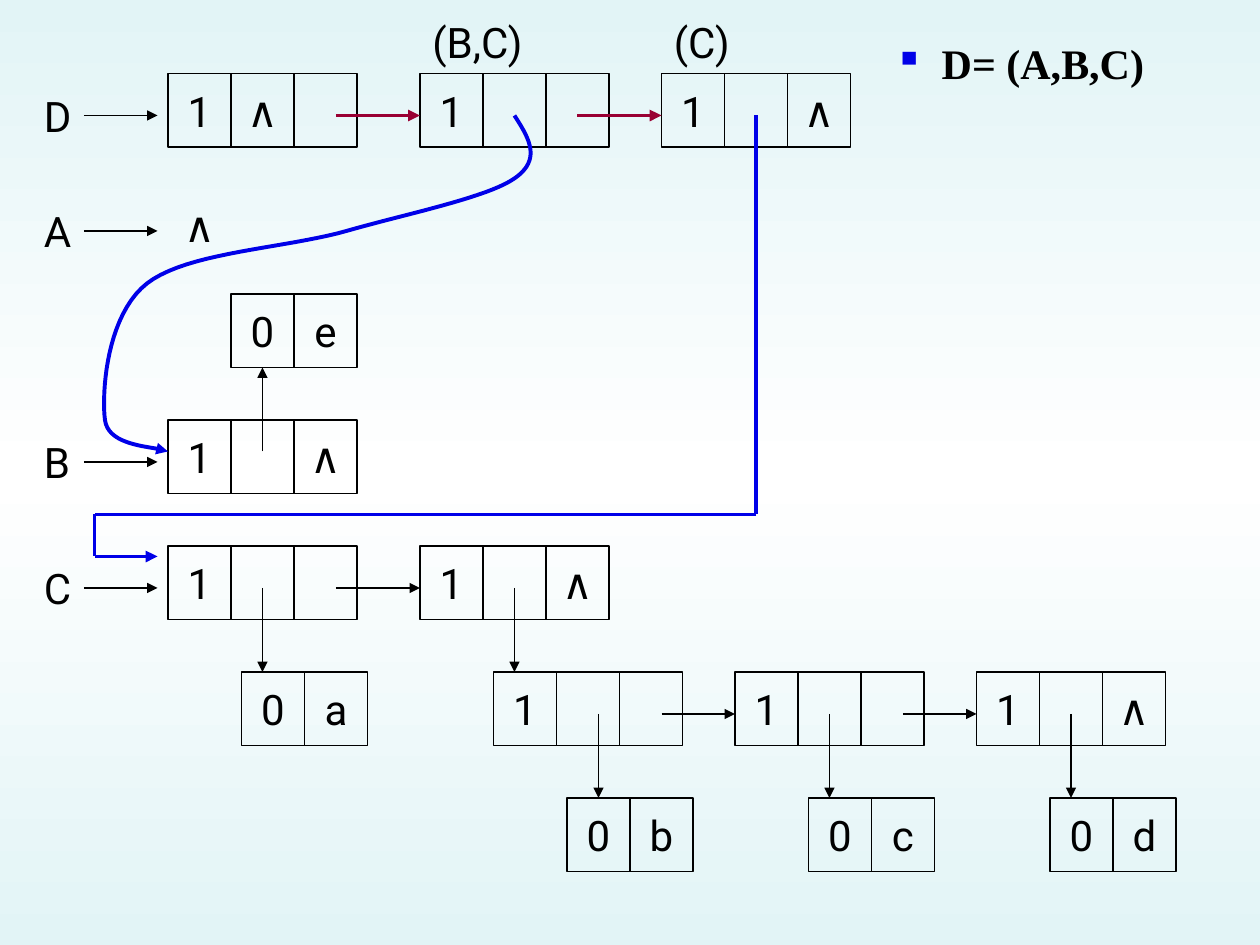
from copy import deepcopy
from itertools import pairwise

from lxml.etree import SubElement
from pptx import Presentation
from pptx.dml.color import RGBColor
from pptx.enum.shapes import MSO_CONNECTOR, MSO_SHAPE
from pptx.enum.text import MSO_ANCHOR, PP_ALIGN
from pptx.oxml.ns import qn
from pptx.util import Pt

BLACK, BLUE, CRIMSON = "000000", "0000E8", "990033"
CELL_WIDTH, CELL_HEIGHT = 36, 42
LINK_Y = 24
LABEL_LEFT, LIST_LEFT = 18, 96


def color(value):
    return RGBColor.from_string(value)


def set_background(slide):
    fill = slide.background.fill
    fill.gradient()
    fill.gradient_angle = 90
    stops = slide.element.find(".//" + qn("a:gsLst"))
    stops.append(deepcopy(stops[-1]))
    values = [(0, "E2F4F6"), (0.5, "FFFFFF"), (1, "E2F4F6")]
    for stop, (position, value) in zip(fill.gradient_stops, values):
        stop.position = position
        stop.color.rgb = color(value)


def style_text(shape, text, font_name="Roboto", bold=False):
    shape.text_frame.text = text
    font = shape.text_frame.paragraphs[0].runs[0].font
    font.name, font.size, font.bold = font_name, Pt(24), bold
    font.color.rgb = color(BLACK)


def style_line(shape, line_color, width, arrow):
    shape.line.color.rgb = color(line_color)
    shape.line.width = Pt(width)
    if arrow:
        SubElement(shape.line._get_or_add_ln(), qn("a:tailEnd"), type="triangle")


def add_text(slide, left, top, width, height, text):
    box = slide.shapes.add_textbox(Pt(left), Pt(top), Pt(width), Pt(height))
    box.text_frame.word_wrap = True
    style_text(box, text)
    return box


def center_text(shape):
    shape.text_frame.word_wrap = False
    shape.text_frame.vertical_anchor = MSO_ANCHOR.MIDDLE
    shape.text_frame.paragraphs[0].alignment = PP_ALIGN.CENTER


def add_line(slide, start, end, line_color=BLACK, width=0.75, arrow=True):
    points = [Pt(value) for value in (*start, *end)]
    line = slide.shapes.add_connector(MSO_CONNECTOR.STRAIGHT, *points)
    style_line(line, line_color, width, arrow)
    SubElement(line._element.spPr, qn("a:effectLst"))


def add_node(slide, left, top, values):
    node = slide.shapes.add_group_shape()
    for index, value in enumerate(values):
        cell = node.shapes.add_shape(
            MSO_SHAPE.RECTANGLE, Pt(left + index * CELL_WIDTH), Pt(top),
            Pt(CELL_WIDTH), Pt(CELL_HEIGHT))
        cell.shadow.inherit = False
        cell.fill.background()
        style_line(cell, BLACK, 0.75, False)
        if value:
            style_text(cell, value)
            center_text(cell)


def add_next_link(slide, left, top, next_left, **style):
    add_line(slide, (left + 96, top + LINK_Y), (next_left, top + LINK_Y), **style)


def add_atom(slide, left, top, value, link_x):
    add_line(slide, (link_x, top - 48), (link_x, top))
    add_node(slide, left, top, ["0", value])


def add_list_name(slide, top, name):
    add_text(slide, LABEL_LEFT, top, 30, 36, name)
    add_line(slide, (48, top + 18), (90, top + 18))


def add_definition(slide, left, top, width, height):
    box = add_text(slide, left, top, width, height, "D= (A,B,C)")
    properties = box.text_frame.paragraphs[0]._p.get_or_add_pPr()
    properties.set("marL", str(Pt(27)))
    properties.set("indent", str(Pt(-27)))
    bullet_color = SubElement(properties, qn("a:buClr"))
    SubElement(bullet_color, qn("a:srgbClr"), val=BLUE)
    SubElement(properties, qn("a:buSzPct"), val="95000")
    SubElement(properties, qn("a:buChar"), char="▪")
    run_font = box.text_frame.paragraphs[0].runs[0].font
    run_font.name, run_font.bold = "Times New Roman", True


def add_list_d(slide, left, top):
    add_list_name(slide, top + 6, "D")
    second, third = left + 144, left + 282
    add_node(slide, left, top, ["1", "∧", ""])
    add_node(slide, second, top, ["1", "", ""])
    add_node(slide, third, top, ["1", "", "∧"])
    add_next_link(slide, left, top, second, line_color=CRIMSON, width=2.25)
    add_next_link(slide, second - 6, top, third, line_color=CRIMSON, width=2.25)
    for label_left, text in ((second, "(B,C)"), (third, "(C)")):
        add_text(slide, label_left, top - 36, 78, 36, text)


def add_list_a(slide, left, top):
    add_list_name(slide, top + 6, "A")
    center_text(add_text(slide, left, top, CELL_WIDTH, CELL_HEIGHT, "∧"))


def add_list_b(slide, left, top):
    add_list_name(slide, top + 6, "B")
    add_node(slide, left, top, ["1", "", "∧"])
    add_line(slide, (left + 54, top + 18), (left + 54, top - 30))
    add_node(slide, left + CELL_WIDTH, top - 72, ["0", "e"])


def add_list_c(slide, left, top):
    add_list_name(slide, top + 6, "C")
    second = left + 144
    add_node(slide, left, top, ["1", "", ""])
    add_node(slide, second, top, ["1", "", "∧"])
    add_next_link(slide, left, top, second)
    add_atom(slide, left + 42, top + 72, "a", left + 54)
    add_line(slide, (second + 54, top + LINK_Y), (second + 54, top + 72))
    add_sublist(slide, second + 42, top + 72)


def add_sublist(slide, left, top):
    lefts = [left, left + 138, left + 276]
    tails = ["", "", "∧"]
    link_offsets = [60, 54, 54]
    for node_left, tail, offset, value in zip(lefts, tails, link_offsets, "bcd"):
        add_node(slide, node_left, top, ["1", "", tail])
        add_atom(slide, node_left + offset - 18 + (6 if offset == 54 else 0),
                 top + 72, value, node_left + offset)
    for node_left, next_left in pairwise(lefts):
        add_next_link(slide, node_left, top, next_left)


def bezier_point(points, t):
    weights = ((1 - t) ** 3, 3 * t * (1 - t) ** 2, 3 * t * t * (1 - t), t ** 3)
    return tuple(Pt(sum(w * point[axis] for w, point in zip(weights, points)))
                 for axis in (0, 1))


def add_curve_to_b(slide, left, top):
    knots = [(294, 66), (302, 78.5), (310, 91), (294, 102),
             (278, 113), (233, 122), (198, 132),
             (163, 142), (107, 144), (84, 162),
             (61, 180), (58, 224), (60, 240),
             (62, 256), (90, 255), (96, 258)]
    knots = [(x - 294 + left, y - 66 + top) for x, y in knots]
    steps = 20
    points = [bezier_point(knots[first:first + 4], step / steps)
              for first in range(0, len(knots) - 1, 3)
              for step in range(1, steps + 1)]
    builder = slide.shapes.build_freeform(Pt(left), Pt(top))
    builder.add_line_segments(points, close=False)
    curve = builder.convert_to_shape()
    curve.shadow.inherit = False
    curve.fill.background()
    style_line(curve, BLUE, 2.25, True)


def add_route_to_c(slide, left, top):
    corners = [(left, top), (left, top + 228), (left - 378, top + 228),
               (left - 378, top + 252), (left - 342, top + 252)]
    for start, end in pairwise(corners):
        add_line(slide, start, end, BLUE, 2.25, end == corners[-1])


def main():
    presentation = Presentation()
    presentation.slide_width, presentation.slide_height = Pt(720), Pt(540)
    slide = presentation.slides.add_slide(presentation.slide_layouts[6])
    set_background(slide)
    add_definition(slide, 504, 18, 204, 54)
    add_list_c(slide, LIST_LEFT, 312)
    add_list_b(slide, LIST_LEFT, 240)
    add_list_a(slide, LIST_LEFT, 108)
    add_list_d(slide, LIST_LEFT, 42)
    add_curve_to_b(slide, 294, 66)
    add_route_to_c(slide, 432, 66)
    presentation.save("out.pptx")


if __name__ == "__main__":
    main()
